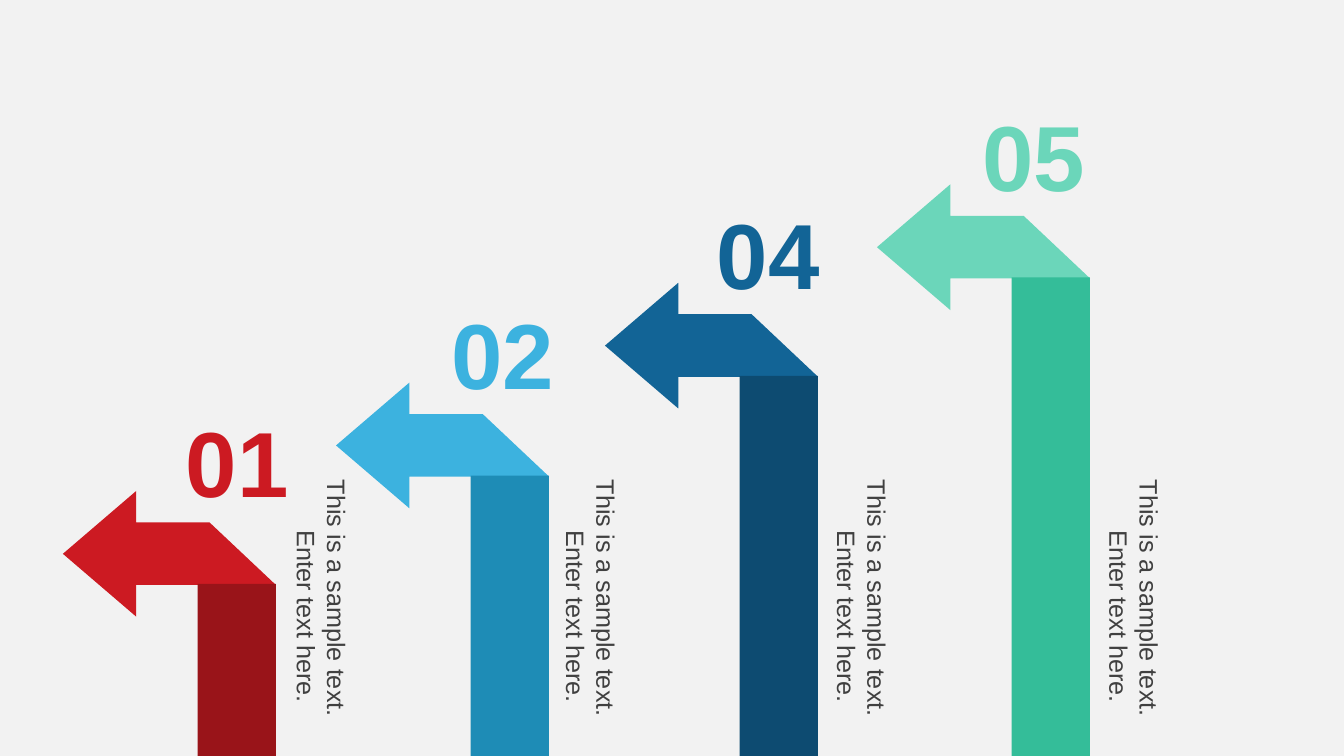
from dataclasses import dataclass

from pptx import Presentation
from pptx.dml.color import RGBColor
from pptx.enum.shapes import MSO_SHAPE
from pptx.enum.text import PP_ALIGN
from pptx.util import Pt


@dataclass(frozen=True)
class Theme:
    font: str = "Arial"
    background: str = "F2F2F2"
    text: str = "404040"
    number_size: int = 66
    caption_size: int = 18
    # (arrow, bar) colours of each step
    steps: tuple = (("CC1A22", "991419"), ("3CB2DF", "1E8CB6"),
                    ("126496", "0D4B71"), ("6BD6BA", "34BD99"))


class Deck:
    """Draws on one slide; all lengths are in points."""

    def __init__(self, prs, theme):
        self.theme = theme
        self.s = prs.slides.add_slide(prs.slide_layouts[6])
        fill = self.s.background.fill
        fill.solid()
        fill.fore_color.rgb = RGBColor.from_string(theme.background)

    def paint(self, sp, color):
        sp.fill.solid()
        sp.fill.fore_color.rgb = RGBColor.from_string(color)
        sp.line.fill.background()
        sp.shadow.inherit = False

    def outline(self, x, y, points, color):
        points = [(Pt(x + dx), Pt(y + dy)) for dx, dy in points]
        builder = self.s.shapes.build_freeform(*points[0])
        builder.add_line_segments(points[1:], close=True)
        self.paint(builder.convert_to_shape(), color)

    def bar(self, x, y, w, h, color):
        sp = self.s.shapes.add_shape(MSO_SHAPE.RECTANGLE, Pt(x), Pt(y), Pt(w), Pt(h))
        self.paint(sp, color)

    def text(self, x, y, w, h, lines, size, color, bold=False, rotation=0):
        sp = self.s.shapes.add_textbox(Pt(x), Pt(y), Pt(w), Pt(h))
        sp.rotation = rotation
        tf = sp.text_frame
        tf.word_wrap = True
        for i, (line, right_indent) in enumerate(lines):
            p = tf.add_paragraph() if i else tf.paragraphs[0]
            p.text = line
            p.alignment = PP_ALIGN.RIGHT
            p.font.name = self.theme.font
            p.font.size = Pt(size)
            p.font.bold = bold
            p.font.color.rgb = RGBColor.from_string(color)
            if right_indent:
                p._p.get_or_add_pPr().set("marR", str(Pt(right_indent)))


SLIDE_W, SLIDE_H = 960, 540

# Folded arrow, measured from its top left corner
ARROW = [(52.4, 0), (52.4, 22.5), (104.8, 22.5), (152.2, 67.2),
         (52.4, 67.2), (52.4, 89.8), (0, 44.9)]
BAR_X, BAR_Y, BAR_W = 96.2, 66.4, 56

# Numbers stand at equal distances, at one height above their arrows
NUMBER_X, NUMBER_GAP, NUMBER_RISE = 67, 189.6, 64.7
NUMBER_W, NUMBER_H = 146.2, 87.1

# Captions run downwards around one common centre line
CAPTION = [("This is a sample text.", 0), ("Enter text here.", 10)]
CAPTION_W, CAPTION_H, CAPTION_MID_Y = 184.3, 50.9, 426.8

# Number, arrow left, arrow top, caption centre
STEPS = [("01", 44.9, 350.7, 229.7), ("02", 240, 273.3, 422),
         ("04", 432.1, 202, 615.6), ("05", 626.4, 131.7, 810)]


def main():
    prs = Presentation()
    prs.slide_width, prs.slide_height = Pt(SLIDE_W), Pt(SLIDE_H)
    theme = Theme()
    deck = Deck(prs, theme)

    # Arrows, bars and captions
    for (_, x, y, mid_x), (light, dark) in zip(STEPS, theme.steps):
        deck.outline(x, y, ARROW, light)
        deck.bar(x + BAR_X, y + BAR_Y, BAR_W, SLIDE_H - y - BAR_Y, dark)
        deck.text(mid_x - CAPTION_W / 2, CAPTION_MID_Y - CAPTION_H / 2,
                  CAPTION_W, CAPTION_H, CAPTION,
                  theme.caption_size, theme.text, rotation=90)

    # Numbers
    for i, ((number, _, y, _), (light, _)) in enumerate(zip(STEPS, theme.steps)):
        deck.text(NUMBER_X + i * NUMBER_GAP, y - NUMBER_RISE, NUMBER_W, NUMBER_H,
                  [(number, 0)], theme.number_size, light, bold=True)

    prs.save("out.pptx")


if __name__ == "__main__":
    main()
